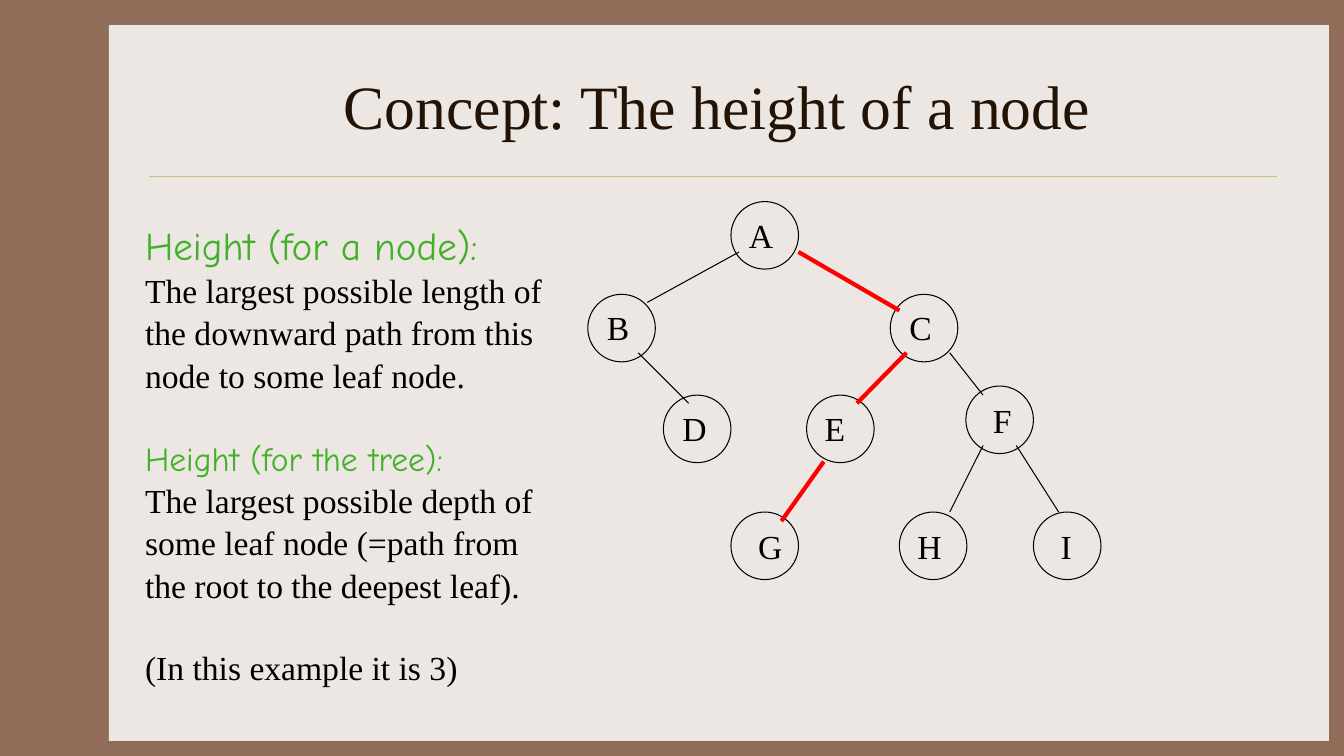
from pptx import Presentation
from pptx.dml.color import RGBColor
from pptx.enum.shapes import MSO_CONNECTOR, MSO_SHAPE
from pptx.enum.text import MSO_ANCHOR, MSO_AUTO_SIZE, PP_ALIGN
from pptx.oxml.xmlchemy import OxmlElement
from pptx.util import Pt

STRAIGHT = MSO_CONNECTOR.STRAIGHT
RECTANGLE, OVAL = MSO_SHAPE.RECTANGLE, MSO_SHAPE.OVAL
MIDDLE, CENTER = MSO_ANCHOR.MIDDLE, PP_ALIGN.CENTER
FIT_SHAPE = MSO_AUTO_SIZE.SHAPE_TO_FIT_TEXT
NO_FIT = MSO_AUTO_SIZE.NONE

PX = 9144  # 100 px to the inch
THEME = {
    "frame": "906D58", "panel": "EDE7E3", "rule": "CBBD83",
    "title": "221304", "ink": "000000", "term": "43B02A", "path": "FF0000",
    "serif": "Times New Roman", "comic": "Comic Neue",
    "title_size": 44, "lead_size": 28, "body_size": 24,
}


def add_run(paragraph, text, color, font="serif", size="body_size"):
    run = paragraph.add_run()
    run.text = text
    run.font.name = THEME[font]
    run.font.size = Pt(THEME[size])
    run.font.color.rgb = RGBColor.from_string(THEME[color])


def add_line(ends, color, width):
    line = slide.shapes.add_connector(STRAIGHT, *(end * PX for end in ends))
    line.line.color.rgb = RGBColor.from_string(THEME[color])
    line.line.width = Pt(width)
    line._element.spPr.append(OxmlElement("a:effectLst"))


presentation = Presentation()
presentation.slide_width = 1333 * PX
presentation.slide_height = 750 * PX
slide = presentation.slides.add_slide(presentation.slide_layouts[5])

# Frame, panel and rule
slide.background.fill.solid()
slide.background.fill.fore_color.rgb = RGBColor.from_string(THEME["frame"])
panel = slide.shapes.add_shape(RECTANGLE, 108 * PX, 25 * PX, 1210 * PX, 710 * PX)
panel.shadow.inherit = False
panel.fill.solid()
panel.fill.fore_color.rgb = RGBColor.from_string(THEME["panel"])
panel.line.fill.background()
add_line((148, 175, 1267, 175), "rule", 0.25)

# Title, brought in front of the panel
title = slide.shapes.title
slide.shapes._spTree.append(title._element)
title.left, title.top = 156 * PX, 42 * PX
title.width, title.height = 1111 * PX, 125 * PX
title.text_frame.vertical_anchor = MIDDLE
title.text_frame.auto_size = NO_FIT
title_paragraph = title.text_frame.paragraphs[0]
title_paragraph.alignment = CENTER
add_run(title_paragraph, "Concept: The height of a node", "title", size="title_size")

# Tree nodes: circle left and top, then label left, top and width
NODE_SIZE = 67
nodes = {
    "A": (725, 200, 733, 208, 44),
    "B": (583, 292, 592, 300, 42),
    "C": (883, 292, 892, 300, 42),
    "D": (658, 392, 667, 400, 44),
    "E": (800, 392, 808, 400, 40),
    "F": (958, 383, 975, 392, 39),
    "G": (725, 508, 742, 517, 44),
    "H": (892, 508, 900, 517, 44),
    "I": (1025, 508, 1042, 517, 31),
}
for left, top, *label_place in nodes.values():
    circle = slide.shapes.add_shape(
        OVAL, left * PX, top * PX, NODE_SIZE * PX, NODE_SIZE * PX)
    circle.shadow.inherit = False
    circle.fill.background()
    circle.line.color.rgb = RGBColor.from_string(THEME["ink"])
    circle.line.width = Pt(0.75)

# Tree edges
longest_path = [
    (792, 250, 892, 308),  # A to C
    (899, 350, 850, 400),  # C to E
    (817, 458, 775, 517),  # E to G
]
other_edges = [
    (733, 250, 642, 300),   # A to B
    (633, 350, 683, 400),   # B to D
    (942, 350, 975, 392),   # C to F
    (975, 442, 942, 508),   # F to H
    (1008, 442, 1050, 508),  # F to I
]
for edge in other_edges + longest_path:
    add_line(edge, "ink", 0.75)

# Node labels
for name, (left, top, label_left, label_top, label_width) in nodes.items():
    label = slide.shapes.add_textbox(
        label_left * PX, label_top * PX, label_width * PX, 50 * PX)
    label.text_frame.word_wrap = False
    label.text_frame.auto_size = FIT_SHAPE
    add_run(label.text_frame.paragraphs[0], name, "ink")

# Definitions: text, colour, font, size, space before
definitions = [
    ("Height (for a node):", "term", "comic", "lead_size", 0),
    ("The largest possible length of the downward path from this node "
     "to some leaf node.", "ink", "serif", "body_size", 0),
    ("Height (for the tree):", "term", "comic", "body_size", 29),
    ("The largest possible depth of some leaf node (=path from the root "
     "to the deepest leaf).", "ink", "serif", "body_size", 0),
    ("(In this example it is 3)", "ink", "serif", "body_size", 29),
]
box = slide.shapes.add_textbox(134 * PX, 212 * PX, 425 * PX, 461 * PX)
box.text_frame.word_wrap = True
box.text_frame.auto_size = FIT_SHAPE
for index, (text, color, font, size, gap) in enumerate(definitions):
    paragraph = (box.text_frame.add_paragraph() if index
                 else box.text_frame.paragraphs[0])
    paragraph.line_spacing = 1.05
    if gap:
        paragraph.space_before = Pt(gap)
    add_run(paragraph, text, color, font, size)

# Longest path, highlighted on top
for edge in longest_path:
    add_line(edge, "path", 3)

presentation.save("out.pptx")
